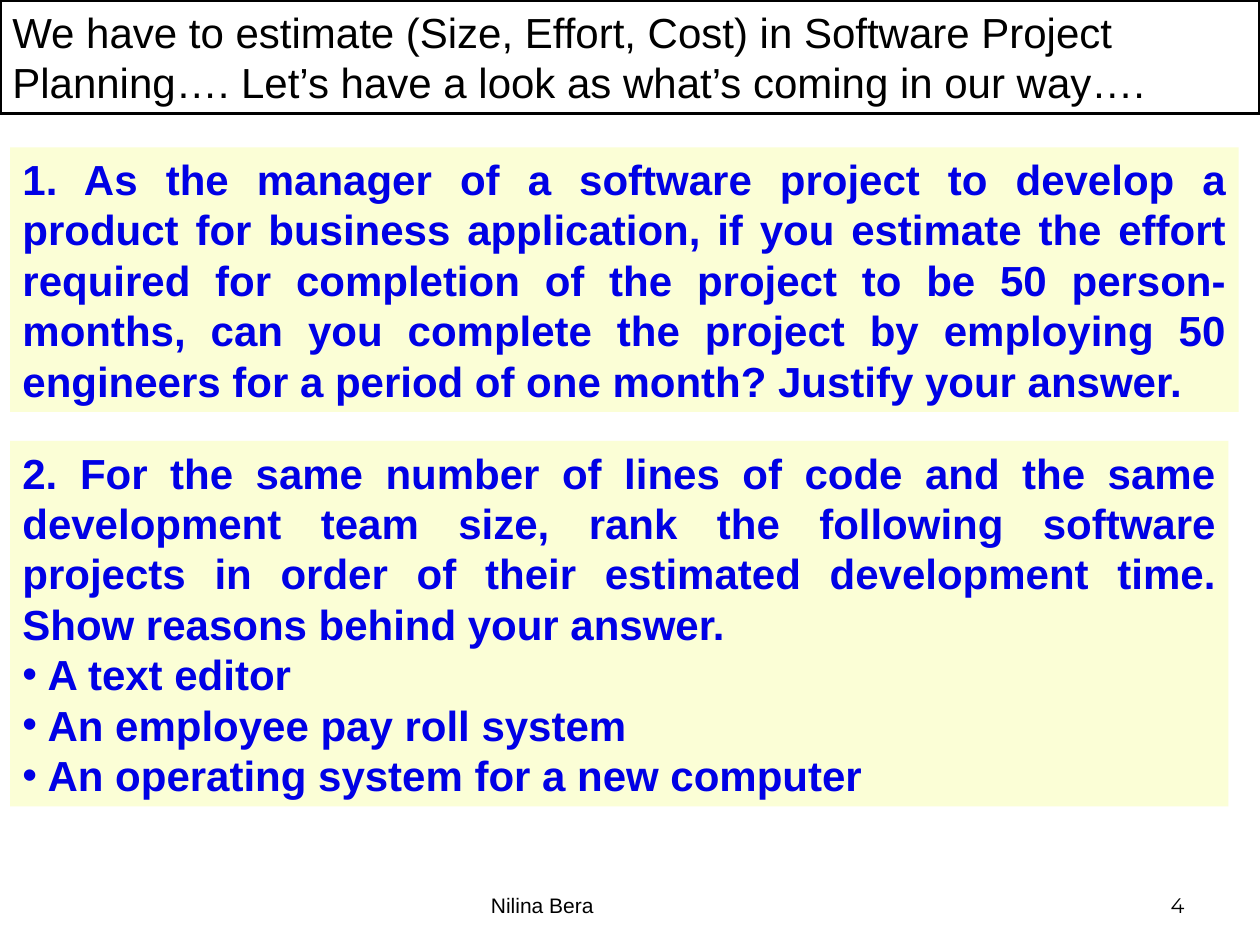
from dataclasses import dataclass

from lxml.etree import SubElement
from pptx import Presentation
from pptx.dml.color import RGBColor
from pptx.enum.shapes import MSO_SHAPE
from pptx.enum.text import MSO_ANCHOR, PP_ALIGN
from pptx.oxml.ns import qn
from pptx.util import Inches, Pt


@dataclass(frozen=True)
class Theme:
    paper: RGBColor = RGBColor(0xFF, 0xFF, 0xFF)
    ink: RGBColor = RGBColor(0, 0, 0)
    panel: RGBColor = RGBColor(0xFB, 0xFE, 0xD6)
    question: RGBColor = RGBColor(0, 0, 0xE5)
    body_size: Pt = Pt(24)
    body_leading: Pt = Pt(28.8)
    footer_size: Pt = Pt(12)
    body_font: str = "Arial"
    number_font: str = "Montserrat"


THEME = Theme()
BODY = {"name": THEME.body_font, "size": THEME.body_size}
FOOTER = {"name": THEME.body_font, "size": THEME.footer_size}

HEADING = (
    "We have to estimate (Size, Effort, Cost) in Software Project Planning…. "
    "Let’s have a look as what’s coming in our way…."
)
STAFFING_QUESTION = (
    "1. As the manager of a software project to develop a product for business "
    "application, if you estimate the effort required for completion of the project "
    "to be 50 person-months, can you complete the project by employing 50 engineers "
    "for a period of one month? Justify your answer."
)
RANKING_QUESTION = (
    "2. For the same number of lines of code and the same development team size, "
    "rank the following software projects in order of their estimated development "
    "time. Show reasons behind your answer."
)
PROJECTS = [
    "A text editor",
    "An employee pay roll system",
    "An operating system for a new computer",
]


def write_paragraph(paragraph, text, color, font, align, leading=None):
    paragraph.alignment = align
    paragraph.line_spacing = leading
    run = paragraph.add_run()
    run.text = text
    run.font.color.rgb = color
    for attribute, value in font.items():
        setattr(run.font, attribute, value)


def add_bullet(paragraph):
    properties = paragraph._p.get_or_add_pPr()
    indent = Inches(0.2)
    properties.set("marL", str(indent))
    properties.set("indent", str(-indent))
    SubElement(properties, qn("a:buFont"), typeface=THEME.body_font)
    SubElement(properties, qn("a:buChar"), char="•")


def add_panel(slide, box, fill):
    """Add a plain rectangle ready for text that starts at its top."""
    panel = slide.shapes.add_shape(MSO_SHAPE.RECTANGLE, *map(Inches, box))
    panel.shadow.inherit = False
    panel.fill.solid()
    panel.fill.fore_color.rgb = fill
    panel.line.fill.background()
    panel.text_frame.word_wrap = True
    panel.text_frame.vertical_anchor = MSO_ANCHOR.TOP
    return panel


def add_heading(slide, box):
    heading = add_panel(slide, box, THEME.paper)
    heading.line.color.rgb = THEME.ink
    heading.line.width = Pt(2)
    write_paragraph(heading.text_frame.paragraphs[0], HEADING, THEME.ink, BODY,
                    PP_ALIGN.LEFT, THEME.body_leading)


def add_question(slide, box, question, options=()):
    frame = add_panel(slide, box, THEME.panel).text_frame
    bold = {**BODY, "bold": True}
    write_paragraph(frame.paragraphs[0], question, THEME.question, bold,
                    PP_ALIGN.JUSTIFY, THEME.body_leading)
    for option in options:
        paragraph = frame.add_paragraph()
        write_paragraph(paragraph, option, THEME.question, bold,
                        PP_ALIGN.JUSTIFY, THEME.body_leading)
        add_bullet(paragraph)


def add_footer(slide, box, text, font, align, right_inset=0.1):
    frame = slide.shapes.add_textbox(*map(Inches, box)).text_frame
    frame.word_wrap = True
    frame.vertical_anchor = MSO_ANCHOR.BOTTOM
    frame.margin_right = Inches(right_inset)
    write_paragraph(frame.paragraphs[0], text, THEME.ink, font, align)


def main():
    presentation = Presentation()
    presentation.slide_width = Inches(10)
    presentation.slide_height = Inches(7.5)
    slide = presentation.slides.add_slide(presentation.slide_layouts[6])

    add_footer(slide, (3.42, 6.83, 3.17, 0.5), "Nilina Bera", FOOTER,
               PP_ALIGN.CENTER, right_inset=1.5)
    add_footer(slide, (7.17, 6.83, 2.33, 0.5), "4",
               {**FOOTER, "name": THEME.number_font}, PP_ALIGN.RIGHT)
    add_heading(slide, (0, 0, 10, 0.9))
    add_question(slide, (0.08, 1.17, 9.75, 2.1), STAFFING_QUESTION)
    add_question(slide, (0.08, 3.5, 9.67, 2.9), RANKING_QUESTION, PROJECTS)

    presentation.save("out.pptx")


if __name__ == "__main__":
    main()
